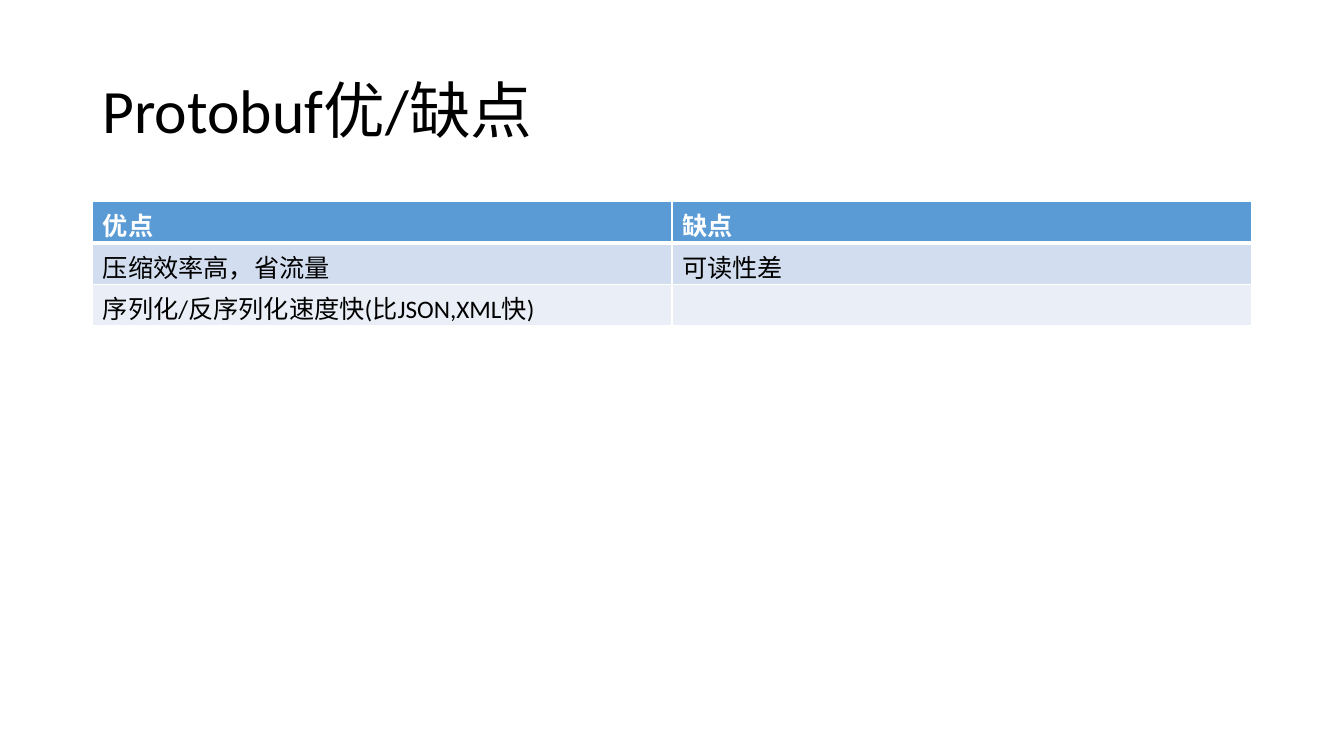
"""Build a slide that sets out the strengths and weaknesses of Protobuf."""
from dataclasses import dataclass

from lxml import etree
from pptx import Presentation
from pptx.dml.color import RGBColor
from pptx.enum.text import MSO_ANCHOR
from pptx.oxml.ns import qn
from pptx.slide import Slide
from pptx.table import _Cell
from pptx.text.text import TextFrame
from pptx.util import Inches, Pt

MIDDLE = MSO_ANCHOR.MIDDLE
BLANK_LAYOUT = 6
SLIDE_WIDTH, SLIDE_HEIGHT = 13.33, 7.5
MARGIN = 0.92
CONTENT_WIDTH = SLIDE_WIDTH - 2 * MARGIN
TITLE_TOP, TITLE_HEIGHT = 0.4, 1.45
TABLE_TOP, ROW_HEIGHT = 2, 0.41


@dataclass(frozen=True)
class Theme:
    """Hold the colours, font and sizes of the slide."""
    font: str = "Calibri"
    title_size: int = 44
    table_size: int = 18
    ink: str = "000000"
    paper: str = "FFFFFF"
    header: str = "5B9BD5"
    bands: tuple[str, str] = ("D2DEEF", "EAEFF7")
    rule: int = 1
    header_rule: int = 3


@dataclass(frozen=True)
class Row:
    """Hold one pair of strength and weakness."""
    strength: str
    weakness: str = ""


THEME = Theme()
TITLE = "Protobuf优/缺点"
ROWS = (
    Row("优点", "缺点"),
    Row("压缩效率高，省流量", "可读性差"),
    Row("序列化/反序列化速度快(比JSON,XML快)"),
)


def write_text(frame: TextFrame, text: str, *, size: int, color: str,
               bold: bool = False, line_spacing: float = 1.0) -> None:
    """Write one formatted paragraph into a text frame."""
    paragraph = frame.paragraphs[0]
    paragraph.line_spacing = line_spacing
    paragraph.font.size = Pt(size)
    if not text:
        return
    run = paragraph.add_run()
    run.text = text
    run.font.name = THEME.font
    run.font.size = Pt(size)
    run.font.bold = bold
    run.font.color.rgb = RGBColor.from_string(color)


def draw_borders(cell: _Cell, top: int, bottom: int) -> None:
    """Draw the four borders of a cell."""
    properties = cell._tc.get_or_add_tcPr()
    widths = {"a:lnL": THEME.rule, "a:lnR": THEME.rule, "a:lnT": top, "a:lnB": bottom}
    for tag, width in widths.items():
        line = etree.SubElement(properties, qn(tag), w=str(Pt(width)))
        fill = etree.SubElement(line, qn("a:solidFill"))
        etree.SubElement(fill, qn("a:srgbClr"), val=THEME.paper)


def draw_title(slide: Slide) -> None:
    """Draw the slide title."""
    shape = slide.shapes.add_textbox(Inches(MARGIN), Inches(TITLE_TOP),
                                     Inches(CONTENT_WIDTH), Inches(TITLE_HEIGHT))
    frame = shape.text_frame
    frame.word_wrap = True
    frame.vertical_anchor = MIDDLE
    write_text(frame, TITLE, size=THEME.title_size, color=THEME.ink, line_spacing=0.9)


def draw_comparison(slide: Slide) -> None:
    """Draw the table of strengths and weaknesses."""
    table = slide.shapes.add_table(
        len(ROWS), 2, Inches(MARGIN), Inches(TABLE_TOP),
        Inches(CONTENT_WIDTH), Inches(ROW_HEIGHT * len(ROWS))).table
    for index, row in enumerate(ROWS):
        is_header = index == 0
        fill = THEME.header if is_header else THEME.bands[(index - 1) % 2]
        top = THEME.header_rule if index == 1 else THEME.rule
        bottom = THEME.header_rule if is_header else THEME.rule
        for column, text in enumerate((row.strength, row.weakness)):
            cell = table.cell(index, column)
            draw_borders(cell, top, bottom)
            cell.fill.solid()
            cell.fill.fore_color.rgb = RGBColor.from_string(fill)
            write_text(cell.text_frame, text, size=THEME.table_size, bold=is_header,
                       color=THEME.paper if is_header else THEME.ink)


def main() -> None:
    """Build and save the presentation."""
    presentation = Presentation()
    presentation.slide_width = Inches(SLIDE_WIDTH)
    presentation.slide_height = Inches(SLIDE_HEIGHT)
    slide = presentation.slides.add_slide(presentation.slide_layouts[BLANK_LAYOUT])
    draw_title(slide)
    draw_comparison(slide)
    presentation.save("out.pptx")


main()
